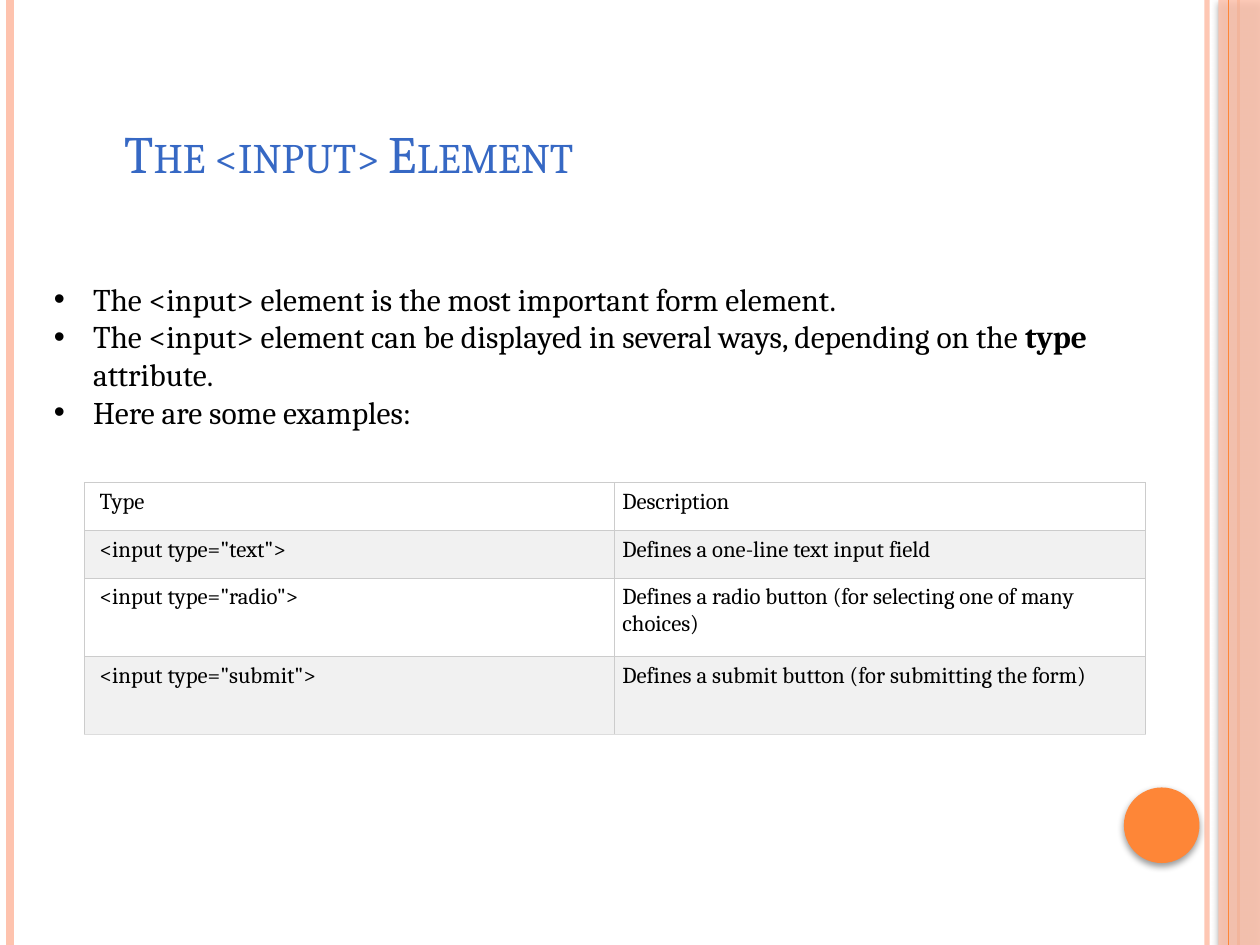
from lxml import etree
from pptx import Presentation
from pptx import util as u
from pptx.dml.color import RGBColor
from pptx.enum import shapes, text
from pptx.oxml import ns

Inches = u.Inches
FONT = "Cambria"
PEACH, ORANGE = "FEC3AE", "FE8637"
BULLETS = [
    ["The <input> element is the most important form element."],
    ["The <input> element can be displayed in several ways, depending on the ",
     "type", " attribute."],
    ["Here are some examples:"],
]
INPUT_TYPES = [
    ("Type", "Description"),
    ('<input type="text">', "Defines a one-line text input field"),
    ('<input type="radio">', "Defines a radio button (for selecting one of many choices)"),
    ('<input type="submit">', "Defines a submit button (for submitting the form)"),
]


def color(value):
    return RGBColor.from_string(value)


def add_xml(parent, tag, **attributes):
    return etree.SubElement(parent, ns.qn(tag), attributes)


def set_alpha(fill, percent):
    for node in fill.iter(ns.qn("a:srgbClr")):
        add_xml(node, "a:alpha", val=str(percent * 1000))


def style_font(para, size, value):
    para.font.name = FONT
    para.font.size = u.Pt(size)
    para.font.color.rgb = color(value)


def add_rule(page, x, height, value, width, opacity=100):
    rule = page.shapes.add_connector(
        shapes.MSO_CONNECTOR.STRAIGHT, Inches(x), 0, Inches(x), Inches(height))
    rule.line.color.rgb = color(value)
    rule.line.width = u.Pt(width)
    if opacity < 100:
        set_alpha(rule.line._ln, opacity)
    add_xml(rule._element.spPr, "a:effectLst")


def add_shadowed(page, kind, left, top, width, height, value, opacity=100):
    shape = page.shapes.add_shape(
        kind, Inches(left), Inches(top), Inches(width), Inches(height))
    shape.fill.solid()
    shape.fill.fore_color.rgb = color(value)
    if opacity < 100:
        set_alpha(shape._element.spPr, opacity)
    shape.line.fill.background()
    shape.shadow.inherit = False
    effects = shape._element.spPr.find(ns.qn("a:effectLst"))
    shadow = add_xml(effects, "a:outerShdw", blurRad=str(u.Pt(4)), dist=str(u.Pt(2)),
                     dir="5400000", rotWithShape="0")
    add_xml(add_xml(shadow, "a:srgbClr", val="000000"), "a:alpha", val="40000")


def add_frame(page, width, height):
    add_rule(page, width - 0.42, height, PEACH, 3, 93)
    add_rule(page, 0.08, height, PEACH, 4.5)
    add_rule(page, width - 0.17, height, ORANGE, 1.5)
    add_shadowed(page, shapes.MSO_SHAPE.RECTANGLE,
                 width - 0.33, 0, 0.33, height, PEACH, 87)
    add_rule(page, width - 0.25, height, ORANGE, 0.75)
    add_shadowed(page, shapes.MSO_SHAPE.OVAL,
                 width - 1.08, height - 1.25, 0.6, 0.6, ORANGE)


def add_text_box(page, left, top, width, height):
    box = page.shapes.add_textbox(
        Inches(left), Inches(top), Inches(width), Inches(height))
    box.text_frame.word_wrap = True
    return box.text_frame


def add_title(page, left, top, width, height):
    frame = add_text_box(page, left, top, width, height)
    frame.vertical_anchor = text.MSO_ANCHOR.BOTTOM
    frame.margin_bottom = Inches(0.54)
    para = frame.paragraphs[0]
    span = para.add_run()
    span.text = "The <input> Element"
    style_font(para, 30, "3668C4")
    span._r.get_or_add_rPr().set("cap", "small")


def add_bullets(page, left, top, width, height):
    frame = add_text_box(page, left, top, width, height)
    for index, pieces in enumerate(BULLETS):
        para = frame.add_paragraph() if index else frame.paragraphs[0]
        properties = para._p.get_or_add_pPr()
        properties.set("marL", str(Inches(0.31)))
        properties.set("indent", str(-Inches(0.31)))
        add_xml(add_xml(properties, "a:buClr"), "a:srgbClr", val="000000")
        add_xml(properties, "a:buFont", typeface="Arial")
        add_xml(properties, "a:buChar", char="•")
        style_font(para, 18, "000000")
        for piece in pieces:
            span = para.add_run()
            span.text = piece
            if piece == "type":
                span.font.bold = True


def style_cell(cell, words, left_margin, fill, bottom):
    cell.text = words
    style_font(cell.text_frame.paragraphs[0], 13, "000000")
    cell.margin_left, cell.margin_right = Inches(left_margin), Inches(0.06)
    cell.margin_top = cell.margin_bottom = Inches(0.05)
    properties = cell._tc.get_or_add_tcPr()
    for side in "LRTB":
        border = add_xml(properties, f"a:ln{side}", w=str(u.Pt(0.75)))
        value = bottom if side == "B" else "CCCCCC"
        add_xml(add_xml(border, "a:solidFill"), "a:srgbClr", val=value)
    cell.fill.solid()
    cell.fill.fore_color.rgb = color(fill)


def add_type_table(page, left, top, width, height):
    table = page.shapes.add_table(
        len(INPUT_TYPES), 2, Inches(left), Inches(top), Inches(width), Inches(height)).table
    table.first_row = table.horz_banding = False
    for column in table.columns:
        column.width = Inches(width / 2)
    for index, words in enumerate(INPUT_TYPES):
        table.rows[index].height = Inches(height * (0.19 if index < 2 else 0.31))
        fill = "F1F1F1" if index % 2 else "FFFFFF"
        bottom = "DDDDDD" if index == len(INPUT_TYPES) - 1 else "CCCCCC"
        for column, margin in enumerate((0.12, 0.06)):
            style_cell(table.cell(index, column), words[column], margin, fill, bottom)


def main():
    deck = Presentation()
    deck.slide_width, deck.slide_height = Inches(10), Inches(7.5)
    page = deck.slides.add_slide(deck.slide_layouts[6])
    add_frame(page, 10, 7.5)
    add_title(page, 0.89, 0.75, 8.17, 1.25)
    add_type_table(page, 0.67, 3.83, 8.42, 2)
    add_bullets(page, 0.33, 2.17, 8.75, 1.6)
    deck.save("out.pptx")


if __name__ == "__main__":
    main()
